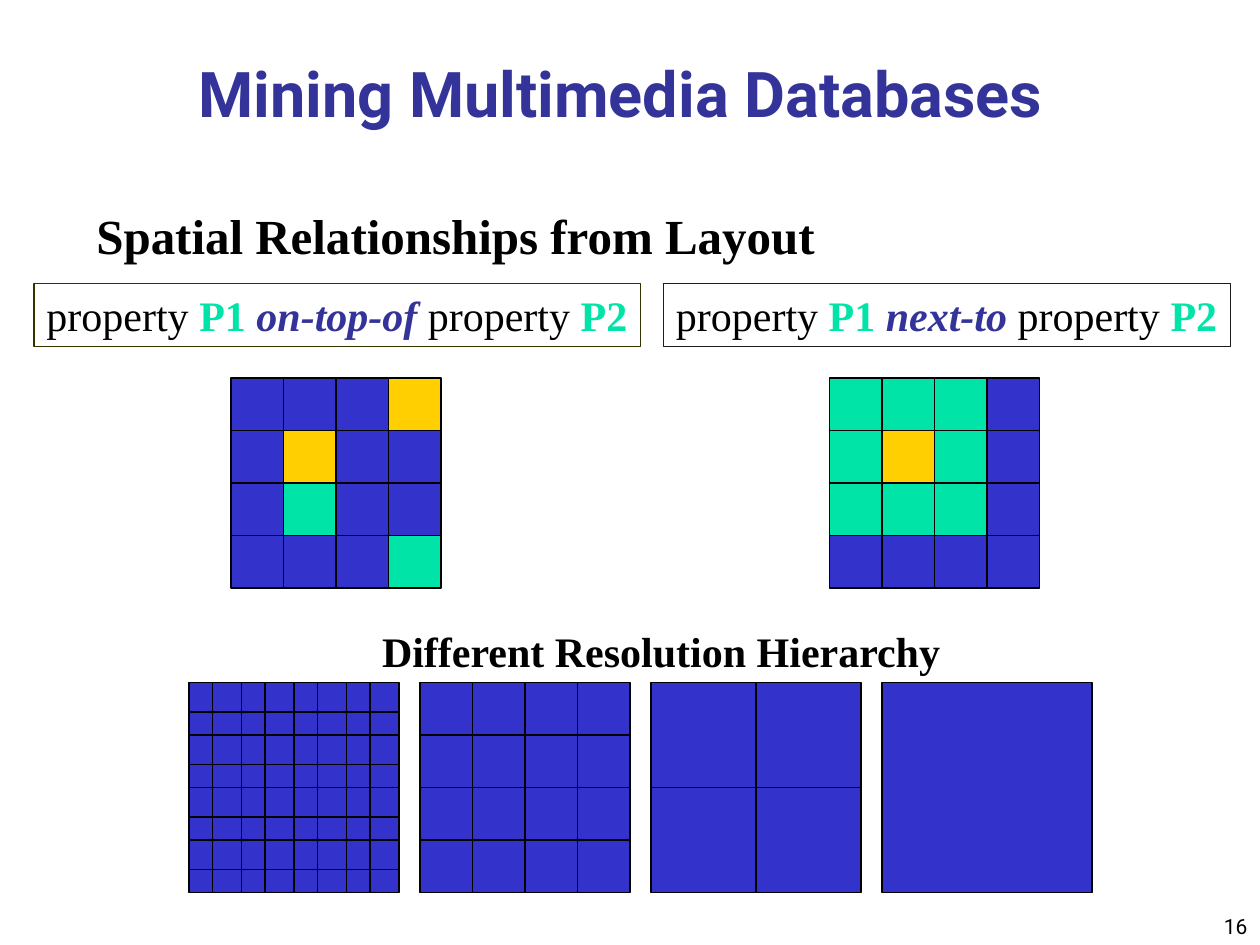
from typing import NamedTuple

from lxml.etree import SubElement
from pptx import Presentation
from pptx.dml.color import RGBColor
from pptx.enum.shapes import MSO_CONNECTOR as Connector, MSO_SHAPE as Shape
from pptx.enum.text import MSO_ANCHOR as Anchor, MSO_AUTO_SIZE as AutoSize, PP_ALIGN as Align
from pptx.oxml.ns import qn
from pptx.util import Inches, Pt

# The slide is a grid of 24 columns by 18 rows of square units.
COLS, ROWS = 24, 18
WIDTH, HEIGHT = Inches(10), Inches(7.5)
UNIT = WIDTH / COLS

BLUE, GREEN, GOLD = "3333CC", "00E4A8", "FFCF01"
BLACK, INDIGO = "000000", "333399"
FILLS = {"b": BLUE, "g": GREEN, "y": GOLD}
SERIF, SANS = "Times New Roman", "Roboto"
LINE_WIDTH = Pt(0.75)
SPLIT_X, SPLIT_Y = 0.45, 0.56


class Run(NamedTuple):
    text: str
    color: str = BLACK
    bold: bool = False
    italic: bool = False


class Label(NamedTuple):
    col: float
    row: float
    cols: float
    rows: float
    runs: list[Run]
    size: int = 24
    font: str = SERIF
    align: Align = Align.LEFT
    anchor: Anchor = Anchor.TOP
    wrap: bool = False
    border: str = ""


class Mosaic(NamedTuple):
    """A square of cells; each pattern letter is the fill of one cell."""
    col: float
    row: float
    pattern: list[str]
    cell: float = 1
    split: bool = False


def relation(name: str) -> list[Run]:
    return [Run("property "), Run("P1 ", GREEN, True), Run(name, INDIGO, True, True),
            Run(" property "), Run("P2", GREEN, True)]


def plain(cells: int) -> list[str]:
    return ["b" * cells] * cells


LABELS = [
    Label(19, 16.8, 5, 1.2, [Run("16")], 12, SANS, Align.RIGHT, Anchor.BOTTOM, True),
    Label(1.6, 3.8, 14.4, 1.37, [Run("Spatial Relationships from Layout", bold=True)],
          28, wrap=True),
    Label(12.64, 5.4, 10.8, 1.2, relation("next-to"), border="1C1C1C"),
    Label(0.65, 5.4, 11.55, 1.2, relation("on-top-of"), border="333300"),
    Label(7.04, 11.8, 11.13, 1.2, [Run("Different Resolution Hierarchy", bold=True)]),
    Label(1, 1, 21.65, 1.6, [Run("Mining Multimedia Databases", INDIGO, True)],
          36, SANS, Align.CENTER, Anchor.BOTTOM, True),
]

MOSAICS = [
    Mosaic(15.8, 7.2, ["gggb", "gygb", "gggb", "bbbb"]),
    Mosaic(4.4, 7.2, ["bbby", "bybb", "bgbb", "bbbg"]),
    Mosaic(3.6, 13, plain(4), split=True),
    Mosaic(8, 13, plain(4)),
    Mosaic(12.4, 13, plain(2), cell=2),
    Mosaic(16.8, 13, plain(1), cell=4),
]


def units(*values: float) -> list[int]:
    return [round(v * UNIT) for v in values]


def rgb(color: str) -> RGBColor:
    return RGBColor.from_string(color)


def outline(sp, color: str) -> None:
    sp.line.color.rgb = rgb(color)
    sp.line.width = LINE_WIDTH


def draw_label(slide, label: Label) -> None:
    sp = slide.shapes.add_textbox(*units(label.col, label.row, label.cols, label.rows))
    if label.border:
        outline(sp, label.border)
    tf = sp.text_frame
    tf.word_wrap = label.wrap
    if not label.wrap:
        tf.auto_size = AutoSize.SHAPE_TO_FIT_TEXT
    tf.vertical_anchor = label.anchor
    p = tf.paragraphs[0]
    p.alignment = label.align
    for run in label.runs:
        r = p.add_run()
        r.text = run.text
        font = r.font
        font.name, font.size = label.font, Pt(label.size)
        font.bold, font.italic = run.bold, run.italic
        font.color.rgb = rgb(run.color)


def draw_line(shapes, x1: float, y1: float, x2: float, y2: float) -> None:
    line = shapes.add_connector(Connector.STRAIGHT, *units(x1, y1, x2, y2))
    outline(line, BLACK)
    SubElement(line._element.spPr, qn("a:effectLst"))


def draw_mosaic(slide, mosaic: Mosaic) -> None:
    shapes = slide.shapes.add_group_shape().shapes
    size = mosaic.cell
    for i, letters in enumerate(mosaic.pattern):
        for j, letter in enumerate(letters):
            x, y = mosaic.col + j * size, mosaic.row + i * size
            sp = shapes.add_shape(Shape.RECTANGLE, *units(x, y, size, size))
            sp.shadow.inherit = False
            sp.fill.solid()
            sp.fill.fore_color.rgb = rgb(FILLS[letter])
            outline(sp, BLACK)
            if mosaic.split:
                draw_line(shapes, x + SPLIT_X, y, x + SPLIT_X, y + size)
                draw_line(shapes, x, y + SPLIT_Y, x + size, y + SPLIT_Y)


def main() -> None:
    prs = Presentation()
    prs.slide_width, prs.slide_height = WIDTH, HEIGHT
    slide = prs.slides.add_slide(prs.slide_layouts[6])
    for mosaic in MOSAICS:
        draw_mosaic(slide, mosaic)
    for label in LABELS:
        draw_label(slide, label)
    prs.save("out.pptx")


if __name__ == "__main__":
    main()
